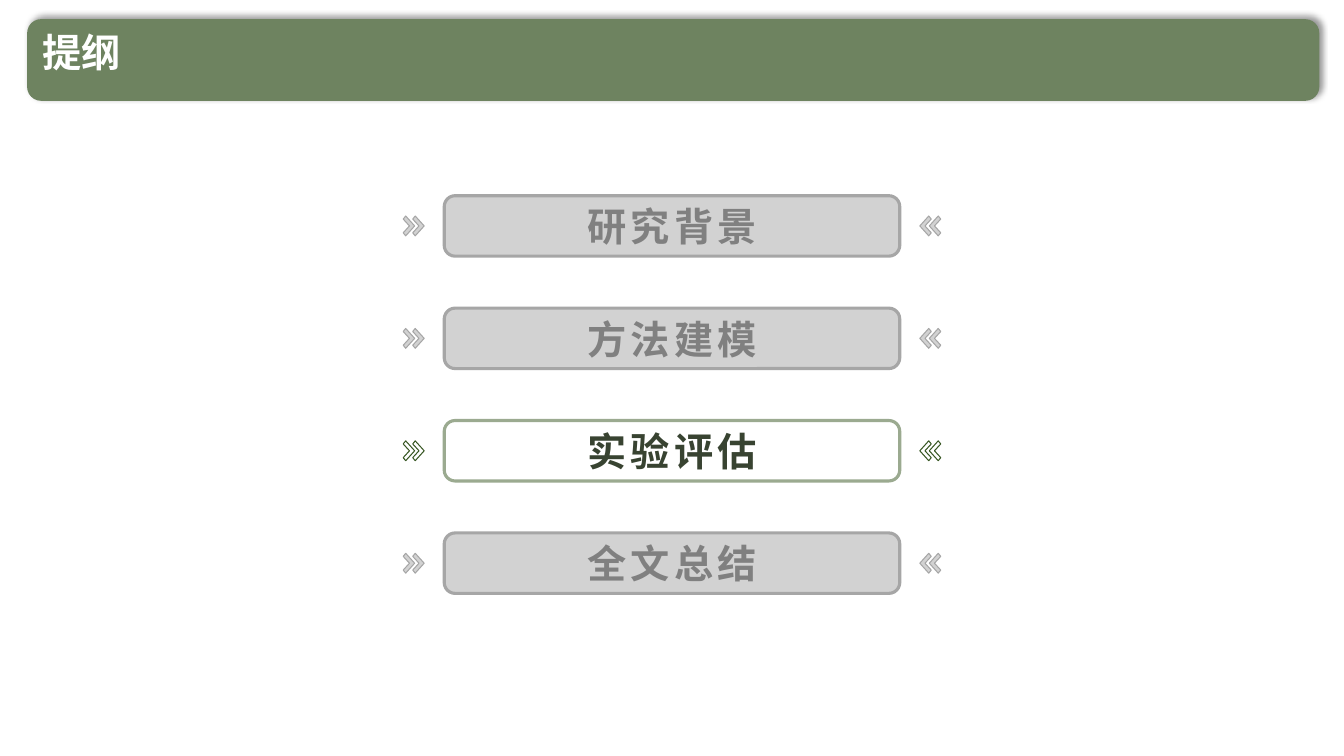
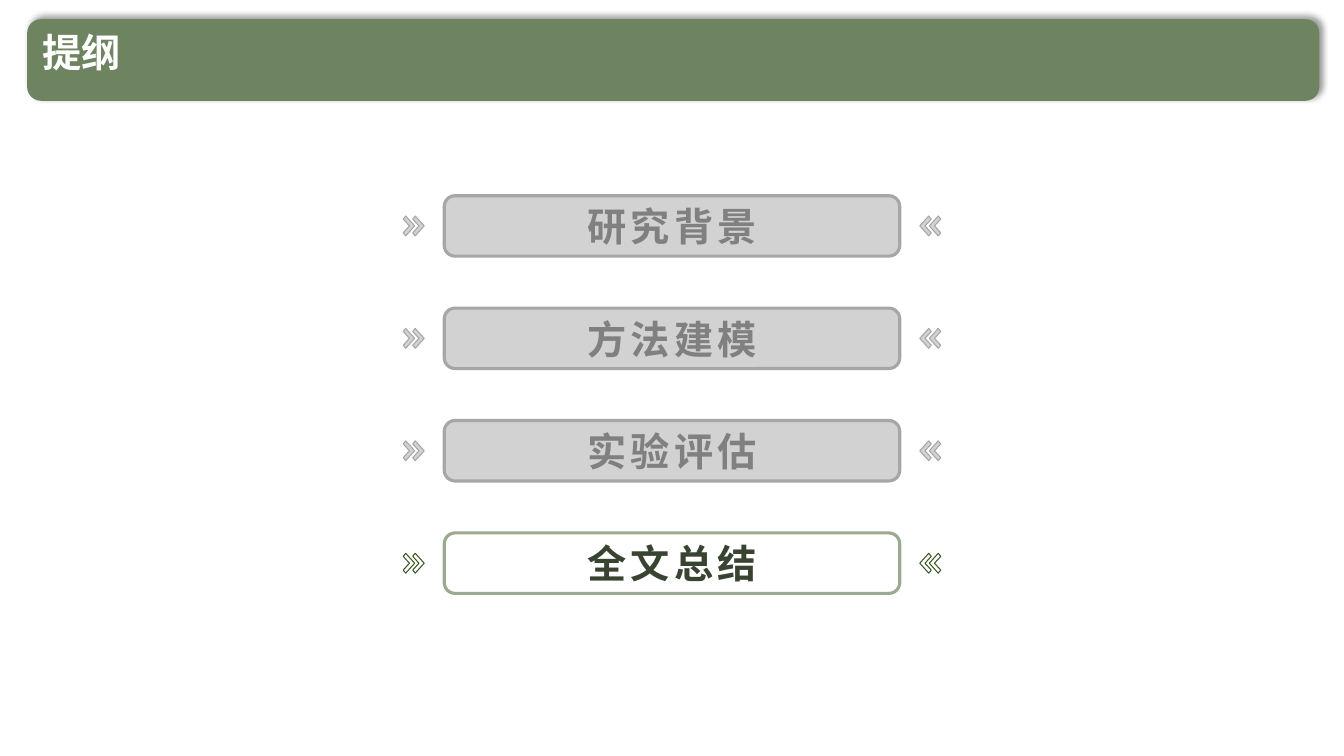
import pptx
import pptx.dml.color
import pptx.enum.shapes
import pptx.enum.text
import pptx.oxml
import pptx.oxml.ns
import pptx.util
import lxml.etree

Pt = pptx.util.Pt
qn = pptx.oxml.ns.qn

WIDE, HIGH = 960, 540
MID = WIDE / 2
TOPICS = ["研究背景", "方法建模", "实验评估", "全文总结"]
ACTIVE = ["实验评估", "全文总结"]
BODY, HEAD = "Karla", "Noto Sans CJK SC"

HEX = {
    "band": "6E8360",
    "black": "000000",
    "white": "FFFFFF",
    "grey": "A6A6A6",
    "dim": "808080",
    "edge": "9BAA90",
    "mark": "385723",
    "dark": "384331",
}

BOX_W, BOX_H = 325.4, 43.2
ROW_TOP, ROW_STEP = 139.8, 80.3
MARK_X, MARK_STEP, MARK_H = 288, 6.8, 14.2
MARK = [(1.8, 0), (0, 2.2), (4.5, 7.1), (0, 12), (1.8, 14.2), (8.2, 7.1)]


def tint(name):
    return pptx.dml.color.RGBColor.from_string(HEX[name])


def paint(shape, fill, line, width=0.75, alpha=None):
    shape.shadow.inherit = False
    if fill:
        shape.fill.solid()
        shape.fill.fore_color.rgb = tint(fill)
    else:
        shape.fill.background()
    if alpha:
        color = shape.fill._xPr.find(qn("a:solidFill"))[0]
        lxml.etree.SubElement(color, qn("a:alpha"), val=str(alpha * 1000))
    if line:
        shape.line.color.rgb = tint(line)
        shape.line.width = Pt(width)
    else:
        shape.line.fill.background()


def write(shape, text, face, color, space=0):
    shape.text_frame.text = text
    para = shape.text_frame.paragraphs[0]
    run = para.runs[0]
    run.font.size = Pt(28)
    run.font.bold = True
    run.font.color.rgb = tint(color)
    run.font.name = face
    props = run._r.get_or_add_rPr()
    props.set("lang", "zh-CN")
    props.set("spc", str(space * 100))
    lxml.etree.SubElement(props, qn("a:ea"), typeface=face)
    return para


def round_box(shapes, left, top, width, height, curve):
    kind = pptx.enum.shapes.MSO_SHAPE.ROUNDED_RECTANGLE
    box = shapes.add_shape(kind, Pt(left), Pt(top), Pt(width), Pt(height))
    box.adjustments[0] = curve
    return box


def add_band(slide):
    band = round_box(slide.shapes, 19.4, 13.7, 923, 58.3, 0.17)
    paint(band, "band", None)
    glow = band._element.spPr.find(qn("a:effectLst"))
    cast = lxml.etree.SubElement(
        glow, qn("a:outerShdw"), blurRad=str(Pt(4)), dist=str(Pt(3)),
        dir=str(315 * 60000), algn="bl", rotWithShape="0")
    color = lxml.etree.SubElement(cast, qn("a:srgbClr"), val=HEX["black"])
    lxml.etree.SubElement(color, qn("a:alpha"), val="40000")


def add_title(slide, text):
    box = slide.shapes.add_textbox(Pt(23), Pt(20.2), Pt(797), Pt(44.6))
    box.text_frame.word_wrap = True
    write(box, text, HEAD, "white").line_spacing = 0.9


def add_mark(shapes, left, top, side, fill, line):
    dots = [(Pt(MID + side * (MID - left - x)), Pt(top + y)) for x, y in MARK]
    pen = shapes.build_freeform(*dots[0], scale=1)
    pen.add_line_segments(dots[1:], close=True)
    paint(pen.convert_to_shape(), fill, line, alpha=50 if fill else None)


def add_topic(slide, text, top, live):
    fill, line, edge, ink = (
        (None, "mark", "edge", "dark") if live
        else ("grey", "grey", "grey", "dim"))
    shapes = slide.shapes.add_group_shape().shapes
    for side in (-1, 1):
        for step in range(2):
            add_mark(shapes, MARK_X + step * MARK_STEP,
                     top + (BOX_H - MARK_H) / 2, side, fill, line)
    box = round_box(shapes, MID - BOX_W / 2, top, BOX_W, BOX_H, 0.18)
    paint(box, fill, edge, 2.25, 50 if fill else None)
    box.text_frame.vertical_anchor = pptx.enum.text.MSO_ANCHOR.MIDDLE
    para = write(box, text, BODY, ink, 3)
    para.alignment = pptx.enum.text.PP_ALIGN.CENTER


def add_page(deck, live):
    slide = deck.slides.add_slide(deck.slide_layouts[6])
    add_band(slide)
    for row, topic in enumerate(TOPICS):
        add_topic(slide, topic, ROW_TOP + row * ROW_STEP, topic == live)
    add_title(slide, "提纲")


def main():
    deck = pptx.Presentation()
    deck.slide_width, deck.slide_height = Pt(WIDE), Pt(HIGH)
    for live in ACTIVE:
        add_page(deck, live)
    deck.save("out.pptx")


if __name__ == "__main__":
    main()
